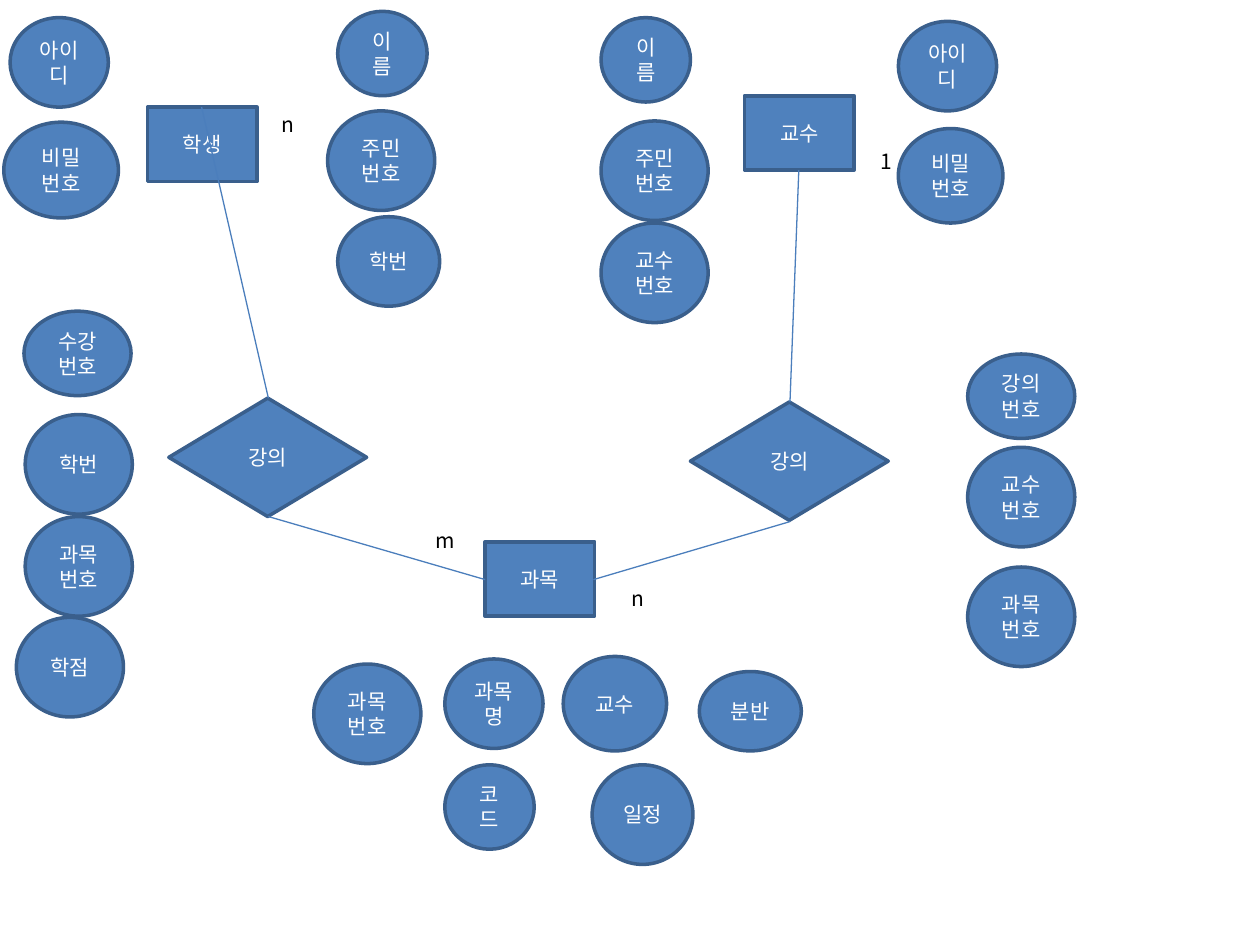
from pptx import Presentation
from pptx.dml.color import RGBColor
from pptx.enum import shapes, text
from pptx.oxml.ns import qn
from pptx.util import Inches, Pt
from lxml import etree

COLORS = {"fill": "4F81BD", "outline": "3A5F8C", "link": "4B7EBC",
          "light": "FFFFFF", "dark": "000000"}
FONT = "Noto Sans CJK KR"
RECT = shapes.MSO_SHAPE.RECTANGLE
OVAL = shapes.MSO_SHAPE.OVAL
DIAMOND = shapes.MSO_SHAPE.DIAMOND

prs = Presentation()
prs.slide_width, prs.slide_height = Inches(10), Inches(7.5)
s = prs.slides.add_slide(prs.slide_layouts[6])


def write(sp, words, color="light", align=None, anchor=None):
    tf = sp.text_frame
    tf.word_wrap = True
    if anchor is not None:
        tf.vertical_anchor = anchor
    p = tf.paragraphs[0]
    p.alignment = align
    r = p.add_run()
    r.text = words
    r.font.size = Pt(12)
    r.font.name = FONT
    r.font.color.rgb = RGBColor.from_string(COLORS[color])
    ea = etree.SubElement(r.font._element, qn("a:ea"))
    ea.set("typeface", FONT)


def node(kind, words, x, y, w, h):
    sp = s.shapes.add_shape(kind, Inches(x), Inches(y), Inches(w), Inches(h))
    sp.shadow.inherit = False
    sp.fill.solid()
    sp.fill.fore_color.rgb = RGBColor.from_string(COLORS["fill"])
    sp.line.color.rgb = RGBColor.from_string(COLORS["outline"])
    sp.line.width = Pt(2)
    write(sp, words, align=text.PP_ALIGN.CENTER, anchor=text.MSO_ANCHOR.MIDDLE)


# Entities
for words, x, y in [("학생", 1.17, 0.85), ("교수", 5.91, 0.76), ("과목", 3.85, 4.3)]:
    node(RECT, words, x, y, 0.87, 0.59)

# Relationships
for x, y in [(5.48, 3.19), (1.34, 3.16)]:
    node(DIAMOND, "강의", x, y, 1.57, 0.94)

# Attributes: text, left, top, width, height
attributes = [
    # student
    ("아이디", 0.08, 0.14, 0.78, 0.71),
    ("비밀번호", 0.03, 0.97, 0.91, 0.76),
    ("이름", 2.68, 0.09, 0.71, 0.67),
    ("주민번호", 2.6, 0.88, 0.85, 0.79),
    ("학번", 2.68, 1.72, 0.81, 0.71),
    # professor
    ("아이디", 7.13, 0.17, 0.78, 0.71),
    ("비밀번호", 7.13, 1.02, 0.83, 0.75),
    ("이름", 4.77, 0.14, 0.71, 0.67),
    ("주민번호", 4.77, 0.96, 0.85, 0.79),
    ("교수번호", 4.77, 1.77, 0.85, 0.79),
    # subject
    ("과목번호", 2.49, 5.27, 0.85, 0.79),
    ("과목명", 3.53, 5.23, 0.78, 0.71),
    ("교수", 4.47, 5.21, 0.82, 0.75),
    ("분반", 5.55, 5.33, 0.81, 0.63),
    ("코드", 3.53, 6.07, 0.71, 0.67),
    ("일정", 4.7, 6.07, 0.8, 0.79),
    # teaching
    ("강의번호", 7.68, 2.81, 0.85, 0.67),
    ("교수번호", 7.68, 3.55, 0.85, 0.79),
    ("과목번호", 7.68, 4.5, 0.85, 0.79),
    # enrolment
    ("수강번호", 0.19, 2.47, 0.85, 0.67),
    ("학번", 0.2, 3.29, 0.85, 0.79),
    ("과목번호", 0.2, 4.1, 0.85, 0.79),
    ("학점", 0.13, 4.9, 0.85, 0.79),
]
for attribute in attributes:
    node(OVAL, *attribute)

# Links between entities and relationships
for ends in [(6.34, 1.35, 6.27, 3.19), (6.27, 4.14, 4.71, 4.6),
             (3.85, 4.6, 2.13, 4.1), (1.6, 0.85, 2.13, 3.16)]:
    link = s.shapes.add_connector(shapes.MSO_CONNECTOR.STRAIGHT, *map(Inches, ends))
    link.line.color.rgb = RGBColor.from_string(COLORS["link"])
    link.line.width = Pt(0.75)
    etree.SubElement(link._element.spPr, qn("a:effectLst"))

# Cardinalities
for words, x, y, w in [("m", 3.46, 4.14, 0.05), ("n", 2.15, 0.84, 0.18),
                       ("n", 4.91, 4.6, 0.22), ("1", 6.89, 1.13, 0.24)]:
    label = s.shapes.add_textbox(Inches(x), Inches(y), Inches(w), Inches(0.3))
    write(label, words, color="dark")
    label.text_frame.auto_size = text.MSO_AUTO_SIZE.SHAPE_TO_FIT_TEXT

prs.save("out.pptx")
